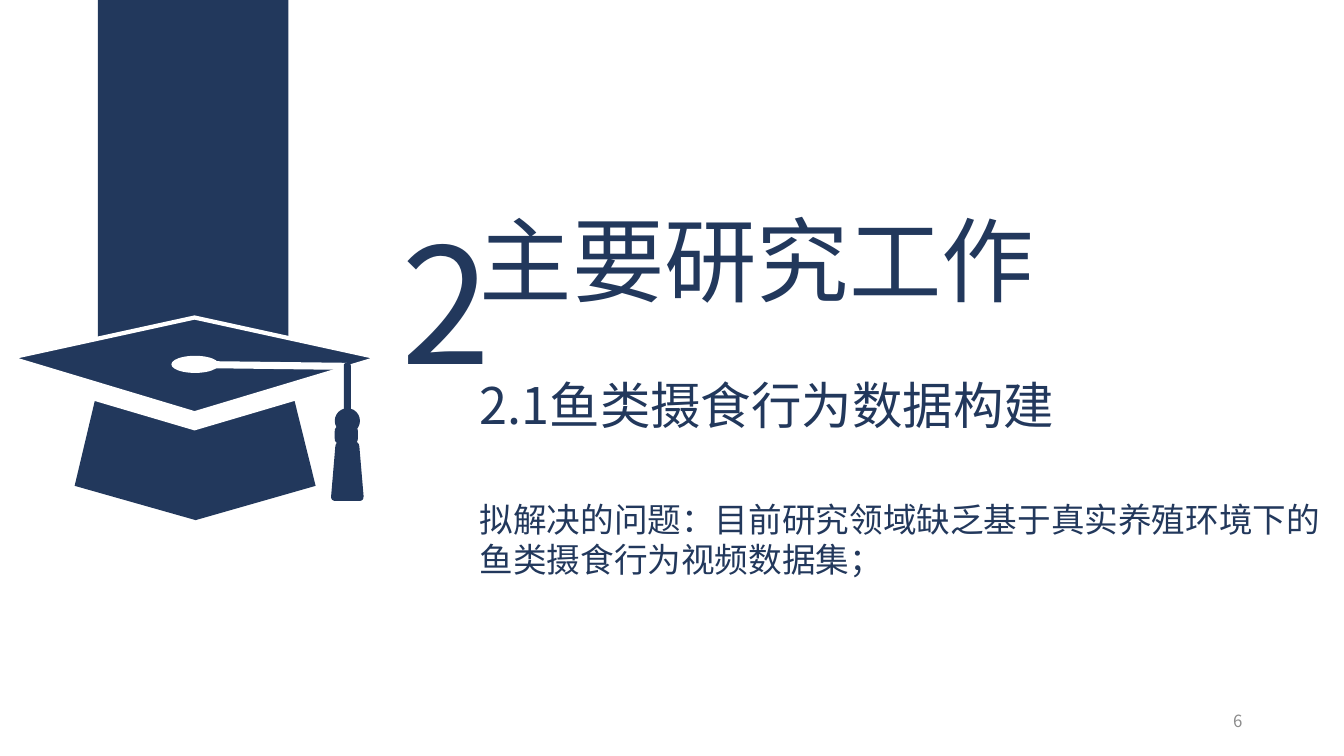
from pptx import Presentation
from pptx.dml.color import RGBColor
from pptx.enum.shapes import MSO_SHAPE as Shape
from pptx.enum.text import MSO_ANCHOR as Anchor, PP_ALIGN as Align
from pptx.util import Inches, Pt

W, H = 13.33, 7.5
FONT = "Noto Sans CJK SC"
COLORS = {"navy": "22385C", "white": "FFFFFF", "gray": "8C8C8C"}
TEXT_LEFT, TEXT_WIDTH = 4.66, 8.66
TITLE_TOP = 1.97


def rgb(name):
    return RGBColor.from_string(COLORS[name])


def paint(s, fill, line_width=0):
    s.shadow.inherit = False
    s.fill.solid()
    s.fill.fore_color.rgb = rgb(fill)
    if line_width:
        s.line.color.rgb = rgb("white")
        s.line.width = Pt(line_width)
    else:
        s.line.fill.background()


def add_preset(shapes, kind, box, fill):
    s = shapes.add_shape(kind, *map(Inches, box))
    paint(s, fill)


def add_polygon(shapes, points, fill, line_width=0):
    points = [(Inches(x), Inches(y)) for x, y in points]
    builder = shapes.build_freeform(*points[0])
    builder.add_line_segments(points[1:], close=True)
    paint(builder.convert_to_shape(), fill, line_width)


def round_corners(corners, radius, steps=4):
    """Replace each corner by a short quadratic curve."""
    points = []
    for i, (x, y) in enumerate(corners):
        ends = []
        for nx, ny in (corners[i - 1], corners[(i + 1) % len(corners)]):
            length = ((nx - x) ** 2 + (ny - y) ** 2) ** 0.5
            ends.append((x + (nx - x) * radius / length,
                         y + (ny - y) * radius / length))
        (ax, ay), (bx, by) = ends
        for k in range(steps + 1):
            t = k / steps
            a, c, b = (1 - t) ** 2, 2 * t * (1 - t), t ** 2
            points.append((a * ax + c * x + b * bx, a * ay + c * y + b * by))
    return points


def add_text(shapes, box, lines, color="navy", align=Align.LEFT,
             anchor=Anchor.TOP):
    """Add a text box; lines holds (text, size, space before)."""
    tf = shapes.add_textbox(*map(Inches, box)).text_frame
    tf.word_wrap = True
    tf.vertical_anchor = anchor
    for i, (text, size, gap) in enumerate(lines):
        p = tf.add_paragraph() if i else tf.paragraphs[0]
        p.text = text
        p.alignment = align
        if gap:
            p.space_before = Pt(gap)
        for r in p.runs:
            r.font.name = FONT
            r.font.size = Pt(size)
            r.font.color.rgb = rgb(color)


def add_cap(shapes):
    cap = shapes.add_group_shape().shapes
    left, mid, right = 0.1, 1.93, 3.76
    top, brim, bottom = 3.15, 3.55, 4.1
    add_polygon(cap, [(3.13, 4.82), (1.94, 5.16), (0.74, 4.82),
                      (0.98, 3.81), (2.88, 3.81)], "navy")
    add_polygon(cap, [(right, brim), (mid, top), (left, brim),
                      (left, brim + 0.18), (mid, bottom + 0.17),
                      (right, brim + 0.18)], "white")
    add_polygon(cap, [(mid, bottom), (left, brim), (mid, top),
                      (right, brim)], "navy", 3)
    add_tassel(cap)
    add_preset(cap, Shape.OVAL, (1.7, 3.53, 0.47, 0.17), "white")


def add_tassel(cap):
    cord = [(1.86, 3.58), (3.46, 3.6), (3.46, 3.67), (1.86, 3.65)]
    strand = [(3.41, 3.6), (3.48, 3.6), (3.48, 4.12), (3.41, 4.12)]
    fringe = [(3.33, 4.38), (3.56, 4.38), (3.61, 4.97), (3.28, 4.97)]
    knot = [(3.32, 4.23), (3.55, 4.23), (3.55, 4.4), (3.32, 4.4)]
    for corners, radius, fill in ((cord, 0.03, "white"),
                                  (strand, 0.03, "navy"),
                                  (fringe, 0.05, "navy"),
                                  (knot, 0.05, "navy")):
        add_polygon(cap, round_corners(corners, radius), fill)
    add_preset(cap, Shape.OVAL, (3.32, 4.05, 0.25, 0.25), "navy")


def main():
    prs = Presentation()
    prs.slide_width, prs.slide_height = Inches(W), Inches(H)
    shapes = prs.slides.add_slide(prs.slide_layouts[6]).shapes
    add_preset(shapes, Shape.RECTANGLE, (0.97, 0, 1.89, 4.38), "navy")
    add_cap(shapes)
    add_text(shapes, (3.88, TITLE_TOP, 1.1, 2.04), [("2", 115, 0)])
    add_text(shapes, (TEXT_LEFT, TITLE_TOP, TEXT_WIDTH, 3.53),
             [("主要研究工作", 66, 0), ("2.1鱼类摄食行为数据构建", 36, 43)])
    add_text(shapes, (TEXT_LEFT, 4.9, TEXT_WIDTH, 0.91),
             [("拟解决的问题：目前研究领域缺乏基于真实养殖环境下的"
               "鱼类摄食行为视频数据集；", 24, 0)])
    add_text(shapes, (9.42, 6.95, 3, 0.4), [("6", 12, 0)], "gray",
             Align.RIGHT, Anchor.MIDDLE)
    prs.save("out.pptx")


if __name__ == "__main__":
    main()
